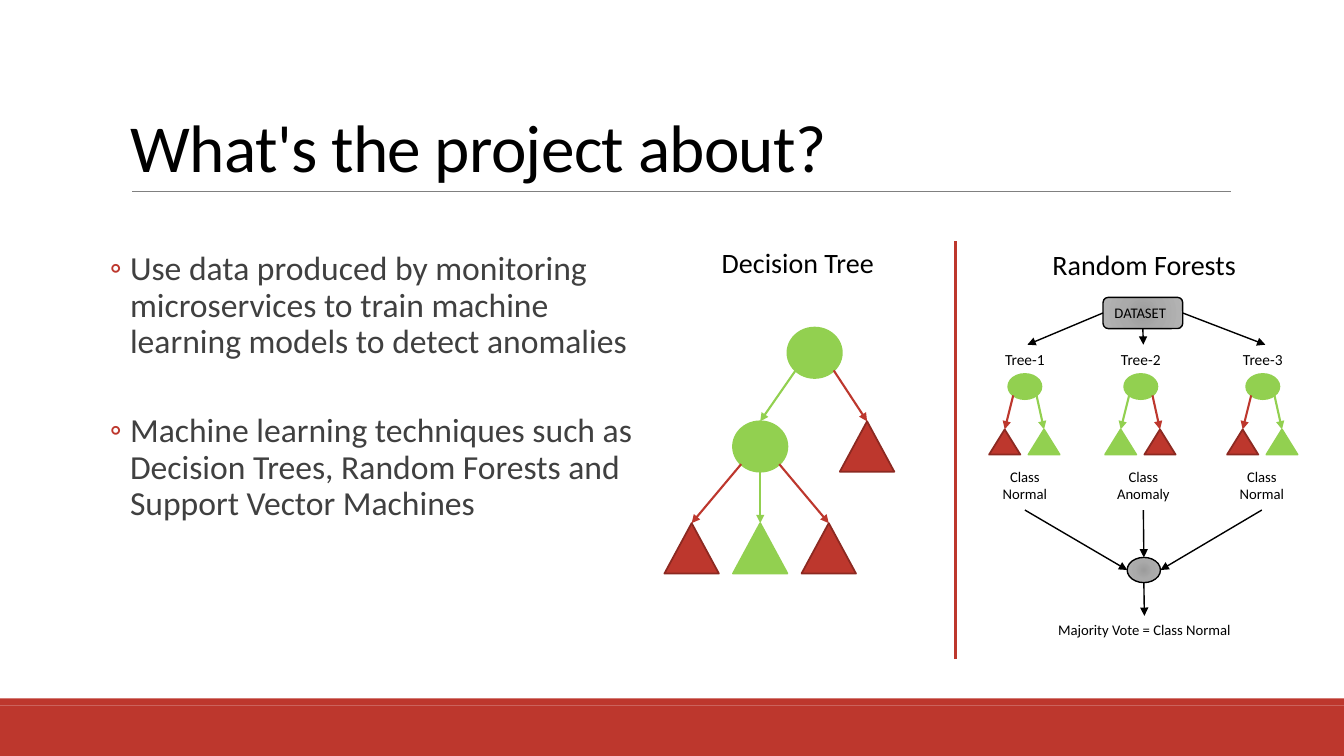
import collections

import pptx
import pptx.dml.color
import pptx.enum.shapes
import pptx.enum.text
import pptx.oxml
import pptx.oxml.ns
import pptx.util

Inches = pptx.util.Inches
Pt = pptx.util.Pt
RGBColor = pptx.dml.color.RGBColor
SHAPE = pptx.enum.shapes.MSO_SHAPE
ALIGN = pptx.enum.text.PP_ALIGN
ANCHOR = pptx.enum.text.MSO_ANCHOR
AUTO_SIZE = pptx.enum.text.MSO_AUTO_SIZE

RED = RGBColor(0xBD, 0x37, 0x2D)
DARK_RED = RGBColor(0x8C, 0x29, 0x21)
GREEN = RGBColor(0x92, 0xD0, 0x50)
GRAY = RGBColor(0x80, 0x80, 0x80)
CHARCOAL = RGBColor(0x40, 0x40, 0x40)
BLACK = RGBColor(0x00, 0x00, 0x00)
GRADIENT_STOPS = (
    (0, RGBColor(0x9C, 0x9C, 0x9C)),
    (45, RGBColor(0xAA, 0xAA, 0xAA)),
    (100, RGBColor(0xB4, 0xB4, 0xB4)),
)

TOP, LEFT, BOTTOM, RIGHT = range(4)
LOWER_LEFT, LOWER_MIDDLE, LOWER_RIGHT = (0.15, 0.85), (0.5, 1), (0.85, 0.85)

Box = collections.namedtuple("Box", "left top width height")


def set_attributes(target, values):
    for name, value in values.items():
        setattr(target, name, value)


def lengths(box):
    return [Inches(value) for value in box]


def point_on(box, across, down):
    return box.left + box.width * across, box.top + box.height * down


def add_xml(parent, tag, content="", **attributes):
    fields = " ".join(f'{name}="{value}"' for name, value in attributes.items())
    namespace = pptx.oxml.ns.nsdecls("a")
    element = pptx.oxml.parse_xml(f"<a:{tag} {namespace} {fields}>{content}</a:{tag}>")
    parent.append(element)
    return element


def add_line(slide, start, end, color, width, arrow=True):
    line = slide.shapes.add_connector(
        pptx.enum.shapes.MSO_CONNECTOR.STRAIGHT, *lengths((*start, *end)))
    line.line.color.rgb = color
    line.line.width = Pt(width)
    if arrow:
        add_xml(line.line._get_or_add_ln(), "tailEnd", type="triangle")
    add_xml(line._element.spPr, "effectLst")
    return line


def add_figure(slide, kind, box, fill, outline=None, width=1.25):
    shape = slide.shapes.add_shape(kind, *lengths(box))
    shape.shadow.inherit = False
    shape.fill.solid()
    shape.fill.fore_color.rgb = fill
    if outline is None:
        shape.line.fill.background()
    else:
        shape.line.color.rgb = outline
        shape.line.width = Pt(width)
    return shape


def add_gray_figure(slide, kind, box):
    shape = add_figure(slide, kind, box, GRAY, BLACK, 1)
    stops = "".join(
        f'<a:gs pos="{position * 1000}"><a:srgbClr val="{color}"/></a:gs>'
        for position, color in GRADIENT_STOPS)
    center = '<a:fillToRect l="100000" t="100000" r="100000" b="100000"/>'
    properties = shape._element.spPr
    gradient = add_xml(
        properties, "gradFill",
        f'<a:gsLst>{stops}</a:gsLst><a:path path="circle">{center}</a:path>')
    properties.replace(properties.find(pptx.oxml.ns.qn("a:solidFill")), gradient)
    return shape


def write_text(paragraph, text, size, color=BLACK, **formats):
    set_attributes(paragraph, formats)
    run = paragraph.add_run()
    run.text = text
    set_attributes(run.font, {"name": "Calibri", "size": Pt(size)})
    run.font.color.rgb = color
    return run


def add_label(slide, box, text, size, alignment=ALIGN.LEFT):
    label = slide.shapes.add_textbox(*lengths(box))
    set_attributes(label.text_frame,
                   {"word_wrap": True, "auto_size": AUTO_SIZE.SHAPE_TO_FIT_TEXT})
    write_text(label.text_frame.paragraphs[0], text, size, alignment=alignment)
    return label


def add_title(slide, box):
    title = slide.shapes.add_textbox(*lengths(box))
    set_attributes(title.text_frame,
                   {"word_wrap": True, "vertical_anchor": ANCHOR.BOTTOM})
    run = write_text(title.text_frame.paragraphs[0], "What's the project about?", 48,
                     line_spacing=0.85)
    run.font._element.set("spc", "-50")
    rule_left, rule_top = box.left + 0.11, box.top + box.height
    add_line(slide, (rule_left, rule_top), (rule_left + 10.9, rule_top), GRAY, 0.5, False)


def add_bullets(slide, box):
    frame = slide.shapes.add_textbox(*lengths(box)).text_frame
    set_attributes(frame, {"word_wrap": True, "margin_left": 0, "margin_right": 0})
    bullets = (
        ("Use data produced by monitoring microservices to train machine "
         "learning models to detect anomalies", 36),
        ("Machine learning techniques such as Decision Trees, Random Forests "
         "and Support Vector Machines", 4),
    )
    for index, (text, space_after) in enumerate(bullets):
        paragraph = frame.add_paragraph() if index else frame.paragraphs[0]
        write_text(paragraph, text, 24, CHARCOAL, level=1, line_spacing=0.9,
                   space_before=Pt(2), space_after=Pt(space_after))
        properties = paragraph._element.get_or_add_pPr()
        properties.set("marL", str(Inches(0.42)))
        properties.set("indent", str(Inches(-0.2)))
        add_xml(properties, "buClr", f'<a:srgbClr val="{RED}"/>')
        add_xml(properties, "buFont", typeface="Calibri")
        add_xml(properties, "buChar", char="◦")


def add_leaf(slide, box, color):
    outline = DARK_RED if color == RED else GREEN
    add_figure(slide, SHAPE.ISOSCELES_TRIANGLE, box, color, outline)


def add_node(slide, box, branches):
    add_figure(slide, SHAPE.OVAL, box, GREEN, GREEN)
    for corner, child, color in branches:
        add_line(slide, point_on(box, *corner), point_on(child, 0.5, 0), color, 1.5)


def add_decision_tree(slide, box):
    def cell(across, down):
        return Box(box.left + across, box.top + down, 0.54, 0.5)

    add_label(slide, Box(box.left + 0.47, box.top, 1.75, 0.44), "Decision Tree", 20)
    root, inner, side_leaf = cell(1.22, 0.86), cell(0.68, 1.79), cell(1.74, 1.79)
    leaves = [cell(0.68 * column, 2.8) for column in range(3)]
    colors = (RED, GREEN, RED)
    add_node(slide, root, ((LOWER_LEFT, inner, GREEN), (LOWER_RIGHT, side_leaf, RED)))
    add_node(slide, inner,
             zip((LOWER_LEFT, LOWER_MIDDLE, LOWER_RIGHT), leaves, colors))
    for leaf, color in zip([*leaves, side_leaf], (*colors, RED)):
        add_leaf(slide, leaf, color)


def add_small_tree(slide, left, top, name, colors):
    label = add_label(slide, Box(left + 0.06, top, 0.64, 0.29), name, 11)
    leaves = [Box(left + 0.39 * column, top + 0.84, 0.31, 0.25) for column in range(2)]
    add_node(slide, Box(left + 0.19, top + 0.29, 0.33, 0.25),
             zip((LOWER_LEFT, LOWER_RIGHT), leaves, colors))
    for leaf, color in zip(leaves, colors):
        add_leaf(slide, leaf, color)
    return label


def add_random_forest(slide, box):
    left, top = box.left, box.top
    add_label(slide, Box(left + 0.56, top + 0.02, 2.12, 0.44), "Random Forests", 20)
    dataset = add_gray_figure(slide, SHAPE.ROUNDED_RECTANGLE,
                              Box(left + 1.16, top + 0.56, 0.79, 0.31))
    write_text(dataset.text_frame.paragraphs[0], "DATASET", 10.5, alignment=ALIGN.LEFT)
    vote = Box(left + 1.4, top + 3.14, 0.33, 0.25)
    add_gray_figure(slide, SHAPE.OVAL, vote)
    result = add_label(slide, Box(left + 0.57, top + 3.72, 2, 0.28),
                       "Majority Vote = Class Normal", 10.5, ALIGN.CENTER)
    trees = (
        (0.03, (RED, GREEN), "Class Normal", 0, 0.77, LEFT, (0, 0.5)),
        (1.18, (GREEN, RED), "Class Anomaly", 1.14, 0.84, BOTTOM, (0.5, 0)),
        (2.39, (RED, GREEN), "Class Normal", 2.39, 0.69, RIGHT, (1, 0.5)),
    )
    for number, (across, colors, outcome, start, width, side, target) in enumerate(trees, 1):
        name = add_small_tree(slide, left + across, top + 1.03, f"Tree-{number}", colors)
        from_dataset = add_line(slide, (left, top), (left, top), BLACK, 1)
        from_dataset.begin_connect(dataset, side)
        from_dataset.end_connect(name, TOP)
        verdict = add_label(slide, Box(left + start, top + 2.2, width, 0.47),
                            outcome, 10.5, ALIGN.CENTER)
        to_vote = add_line(slide, (left, top), point_on(vote, *target), BLACK, 1)
        to_vote.begin_connect(verdict, BOTTOM)
    to_result = add_line(slide, point_on(vote, 0.5, 1), (left, top), BLACK, 1)
    to_result.end_connect(result, TOP)


def add_footer(slide, box):
    strip = 0.07
    add_figure(slide, SHAPE.RECTANGLE, box._replace(height=strip), RED)
    add_figure(slide, SHAPE.RECTANGLE,
               box._replace(top=box.top + strip, height=box.height - strip), RED)


def main():
    presentation = pptx.Presentation()
    set_attributes(presentation,
                   {"slide_width": Inches(13.33), "slide_height": Inches(7.5)})
    slide = presentation.slides.add_slide(presentation.slide_layouts[6])
    add_footer(slide, Box(0, 6.93, 13.33, 0.57))
    add_title(slide, Box(1.2, 0.31, 11, 1.59))
    add_bullets(slide, Box(0.87, 2.45, 5.47, 4.4))
    add_decision_tree(slide, Box(6.59, 2.39, 2.28, 3.3))
    add_line(slide, (9.48, 6.54), (9.48, 2.39), RED, 2.25, False)
    add_random_forest(slide, Box(9.78, 2.39, 3.09, 4))
    presentation.save("out.pptx")


if __name__ == "__main__":
    main()
